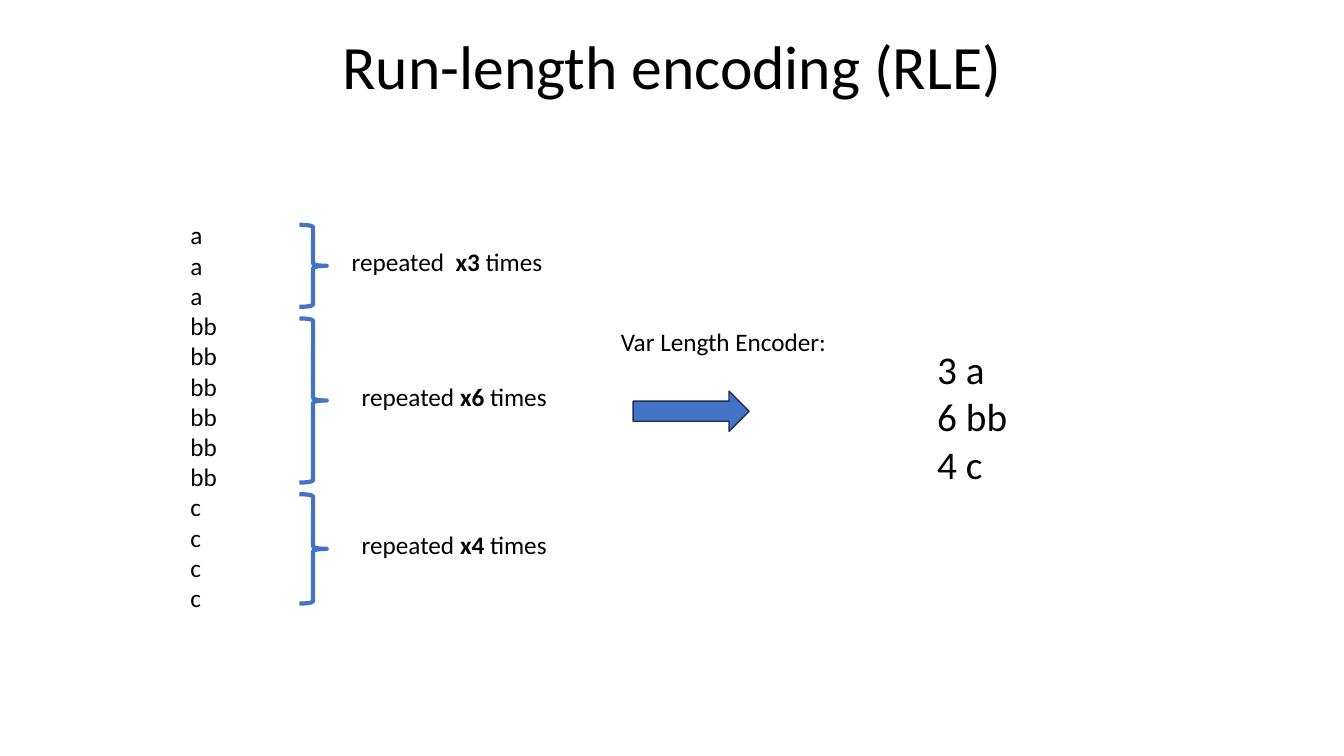
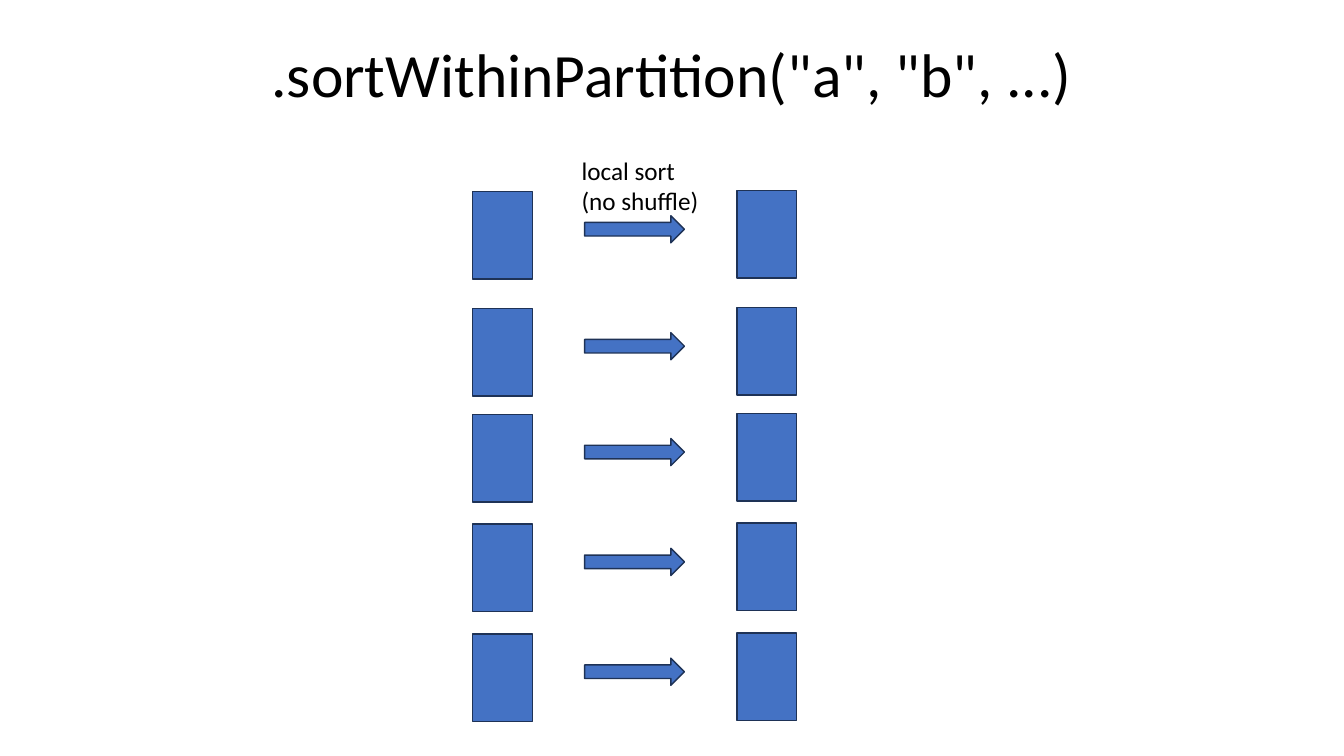
import pptx
import pptx.dml.color
import pptx.enum.shapes
import pptx.enum.text
import pptx.util

SLIDE_WIDTH = pptx.util.Inches(13.33)
SLIDE_HEIGHT = pptx.util.Inches(7.5)
COLUMN = SLIDE_WIDTH / 100
ROW = SLIDE_HEIGHT / 100

BLUE = "4472C4"
NAVY = "1E3256"
BLACK = "000000"
TITLE = {"name": "Calibri", "size": pptx.util.Pt(44)}
BODY = {"name": "Calibri", "size": pptx.util.Pt(18)}
BOLD = {**BODY, "bold": True}
RESULT = {"name": "Calibri", "size": pptx.util.Pt(28)}

PRESET = pptx.enum.shapes.MSO_SHAPE
TITLE_ONLY = 5


def color(hex_code):
    return pptx.dml.color.RGBColor.from_string(hex_code)


def emu(box):
    left, top, width, height = box
    return [round(share * unit) for share, unit in
            ((left, COLUMN), (top, ROW), (width, COLUMN), (height, ROW))]


def within(box, left, top, width, height):
    return box[0] + left, box[1] + top, width, height


def style(font, formats):
    for attribute, value in formats.items():
        setattr(font, attribute, value)
    font.color.rgb = color(BLACK)


def add_text(slide, box, lines, formats=BODY):
    frame = slide.shapes.add_textbox(*emu(box)).text_frame
    frame.word_wrap = True
    frame.auto_size = pptx.enum.text.MSO_AUTO_SIZE.SHAPE_TO_FIT_TEXT
    for index, line in enumerate(lines):
        paragraph = frame.add_paragraph() if index else frame.paragraphs[0]
        for wording, run_formats in ([(line, formats)] if isinstance(line, str) else line):
            run = paragraph.add_run()
            run.text = wording
            style(run.font, run_formats)


def add_preset(slide, preset, box, fill=BLUE, line=NAVY, weight=1):
    shape = slide.shapes.add_shape(preset, *emu(box))
    shape.shadow.inherit = False
    if fill:
        shape.fill.solid()
        shape.fill.fore_color.rgb = color(fill)
    else:
        shape.fill.background()
    shape.line.color.rgb = color(line)
    shape.line.width = pptx.util.Pt(weight)


def add_titled_slide(deck, heading, box):
    slide = deck.slides.add_slide(deck.slide_layouts[TITLE_ONLY])
    title = slide.shapes.title
    title.left, title.top, title.width, title.height = emu(box)
    title.text_frame.text = heading
    title.text_frame.vertical_anchor = pptx.enum.text.MSO_ANCHOR.MIDDLE
    paragraph = title.text_frame.paragraphs[0]
    paragraph.alignment = pptx.enum.text.PP_ALIGN.CENTER
    paragraph.line_spacing = 0.9
    style(paragraph.runs[0].font, TITLE)
    return slide


def add_repeated_values(slide, box, groups):
    values = [value for value, count, opening, indent in groups for _ in range(count)]
    add_text(slide, within(box, 0, 0, 4, box[3]), values)
    gap = 1.53
    top = 1.33
    line_height = 3.62
    for value, count, opening, indent in groups:
        height = count * line_height
        add_preset(slide, PRESET.RIGHT_BRACE, within(box, 8.85, top, 2.03, height),
                   fill=None, line=BLUE, weight=3)
        label = [(opening, BODY), (f"x{count}", BOLD), (" times", BODY)]
        add_text(slide, within(box, indent, top + height / 2 - 3.2, 17, 5.33), [label])
        top += height + gap


def add_encoder(slide, box):
    add_text(slide, within(box, 0, 0, box[2], 5.33), ["Var Length Encoder:"])
    add_preset(slide, PRESET.RIGHT_ARROW, within(box, 1.65, 9.2, 8.63, 5.33))


def add_local_sorts(slide, box, partition_tops):
    for top in partition_tops:
        for left, lift in ((0, 0), (19.65, 0.13)):
            add_preset(slide, PRESET.RECTANGLE, within(box, left, top - lift, 4.43, 11.6))
        add_preset(slide, PRESET.RIGHT_ARROW, within(box, 8.32, top + 3.2, 7.43, 3.6))
    add_text(slide, within(box, 7.35, -5.46, 10.6, 9.47), ["local sort", "(no shuffle)"])


def add_run_length_slide(deck):
    slide = add_titled_slide(deck, "Run-length encoding (RLE)", (6.9, 2, 86.25, 14.5))
    groups = [("a", 3, "repeated  ", 12), ("bb", 6, "repeated ", 12.75),
              ("c", 4, "repeated ", 12.75)]
    add_repeated_values(slide, (13.43, 28.4, 30, 53.87), groups)
    add_encoder(slide, (45.46, 42.53, 18.1, 14.53))
    add_text(slide, (69, 45.07, 7, 20.13),
             [f"{count} {value}" for value, count, opening, indent in groups], RESULT)


def add_sort_slide(deck):
    slide = add_titled_slide(deck, '.sortWithinPartition("a", "b", ...)',
                             (6.9, 0.53, 86.25, 19.33))
    add_local_sorts(slide, (35.18, 25.33, 24.08, 70.13), (0, 15.47, 29.47, 44, 58.53))


def main():
    deck = pptx.Presentation()
    deck.slide_width = SLIDE_WIDTH
    deck.slide_height = SLIDE_HEIGHT
    add_run_length_slide(deck)
    add_sort_slide(deck)
    deck.save("out.pptx")


if __name__ == "__main__":
    main()
